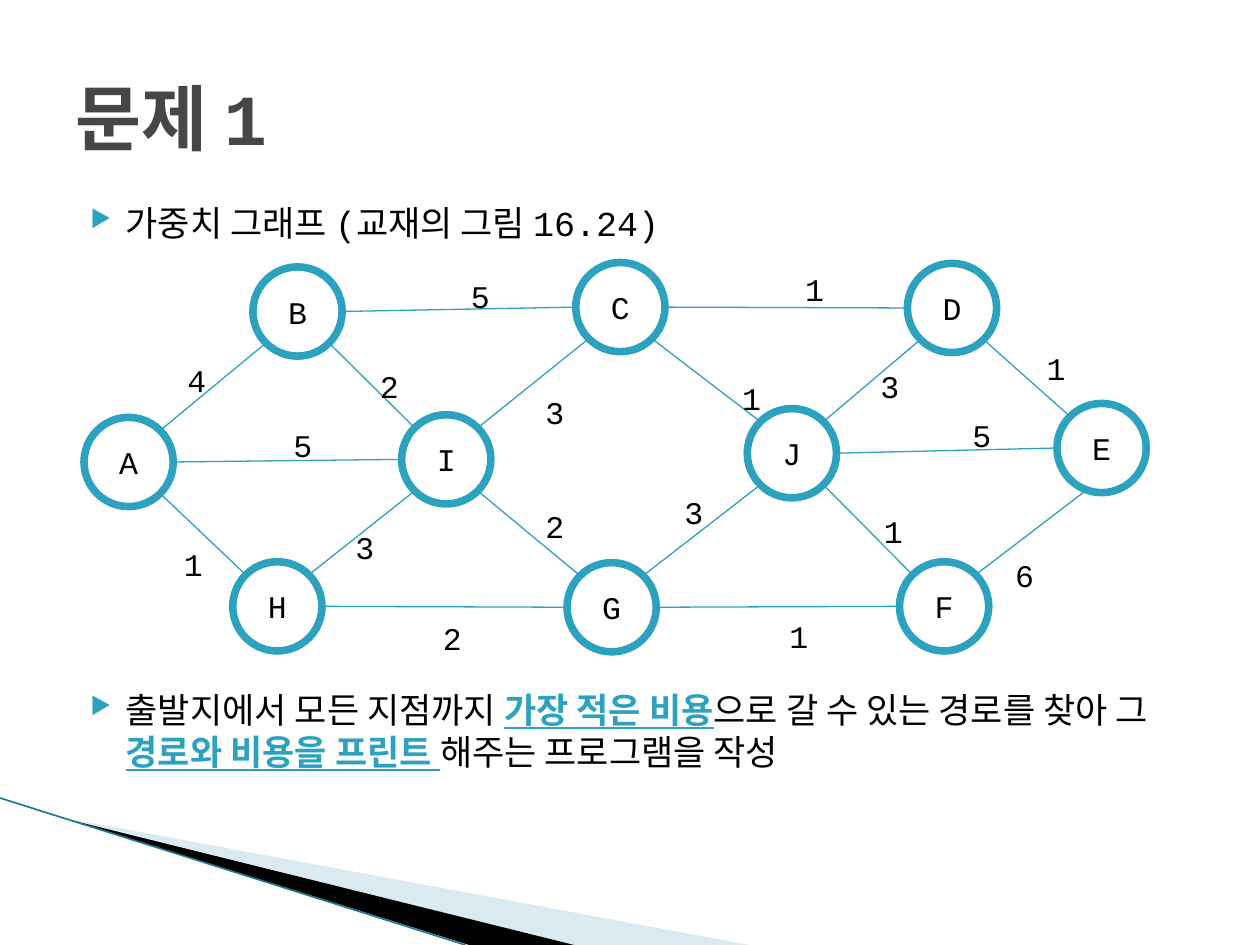
from math import sqrt

from lxml import etree
from pptx import Presentation
from pptx.dml.color import RGBColor
from pptx.enum.shapes import MSO_CONNECTOR, MSO_SHAPE
from pptx.enum.text import MSO_ANCHOR, PP_ALIGN
from pptx.oxml.ns import qn
from pptx.util import Pt

STRAIGHT, ELLIPSE = MSO_CONNECTOR.STRAIGHT, MSO_SHAPE.OVAL
MIDDLE, CENTER = MSO_ANCHOR.MIDDLE, PP_ALIGN.CENTER
FONT = "Courier New"
COLORS = {"accent": "2DA2BF", "text": "000000", "title": "464646",
          "paper": "FFFFFF", "pale": "A0CBDC", "edge": "1F7A90"}

# Graph geometry, relative to the graph box
NODE_SIZE = 51
NODES = {"B": (96.5, 2.5), "C": (281, 0), "D": (470.5, 0.5),
         "A": (0, 88.5), "I": (181.5, 87), "J": (379, 83.5), "E": (556, 80.5),
         "H": (85, 171), "G": (276, 171.5), "F": (466, 171)}
# Ends, weight, left and top of the weight label
EDGES = [("AB", 4, 52, 53), ("BC", 5, 214, 5), ("CD", 1, 405, 0.5),
         ("DE", 1, 543, 46), ("EF", 6, 525, 164), ("FG", 1, 396, 199),
         ("GH", 2, 198, 200), ("HA", 1, 50, 158), ("AI", 5, 112.5, 90),
         ("IB", 2, 162, 56), ("HI", 3, 148, 148), ("CI", 3, 256.5, 71),
         ("GI", 2, 256.5, 136), ("CJ", 1, 369, 63), ("JD", 3, 448, 56),
         ("JE", 5, 500.5, 84), ("JF", 1, 450, 139), ("JG", 3, 336, 128)]
START_SHIFT = {"EF": 7.5}  # this edge leaves its node lower down

# Body paragraphs: space before, then (text, emphasised) runs
BODY = [(4, [("가중치 그래프 (교재의 그림 16.24)", False)]),
        (254, [("출발지에서 모든 지점까지 ", False), ("가장 적은 비용", True),
               ("으로 갈 수 있는 경로를 찾아 그 ", False),
               ("경로와 비용을 프린트 ", True),
               ("해주는 프로그램을 작성", False)])]


def rgb(name):
    return RGBColor.from_string(COLORS[name])


def style(run, size, color="text", bold=False):
    run.font.name, run.font.size, run.font.bold = FONT, Pt(size), bold
    run.font.color.rgb = rgb(color)


def add_line(slide, start, end, color, width):
    line = slide.shapes.add_connector(STRAIGHT, *map(Pt, (*start, *end)))
    line.line.color.rgb = rgb(color)
    line.line.width = Pt(width)
    etree.SubElement(line._element.spPr, qn("a:effectLst"))


def add_text_box(slide, left, top, width, height, wrap=True):
    box = slide.shapes.add_textbox(Pt(left), Pt(top), Pt(width), Pt(height))
    box.text_frame.word_wrap = wrap
    return box.text_frame


def add_wedge(slide, points, color, alpha=100):
    builder = slide.shapes.build_freeform(*points[0], scale=Pt(1))
    builder.add_line_segments(points[1:], close=True)
    wedge = builder.convert_to_shape()
    wedge.shadow.inherit = False
    wedge.line.fill.background()
    wedge.fill.solid()
    wedge.fill.fore_color.rgb = rgb(color)
    if alpha < 100:
        fill = wedge._element.spPr.find(qn("a:solidFill"))
        etree.SubElement(fill[0], qn("a:alpha"), val=str(alpha * 1000))


def draw_swoosh(slide, left, top):
    def at(*points):
        return [(left + x, top + y) for x, y in points]

    add_wedge(slide, at((39.5, 12.5), (428, 84), (328, 84)), "pale", 40)
    add_wedge(slide, at((38, 11.5), (328, 84), (268, 84)), "text")
    add_line(slide, *at((0, 0), (266, 84)), "edge", 0.95)


def draw_title(slide, left, top, width, height):
    frame = add_text_box(slide, left, top, width, height)
    frame.vertical_anchor = MIDDLE
    frame.text = "문제 1"
    style(frame.paragraphs[0].runs[0], 41, "title", True)


def add_bullet(paragraph):
    properties = paragraph._p.get_or_add_pPr()
    properties.set("marL", str(Pt(28.8)))
    properties.set("indent", str(Pt(-20.16)))
    color = etree.SubElement(properties, qn("a:buClr"))
    etree.SubElement(color, qn("a:srgbClr"), val=COLORS["accent"])
    etree.SubElement(properties, qn("a:buSzPct"), val="68000")
    etree.SubElement(properties, qn("a:buChar"), char="▶")


def draw_body(slide, left, top, width, height):
    frame = add_text_box(slide, left, top, width, height)
    for index, (space, pieces) in enumerate(BODY):
        paragraph = frame.add_paragraph() if index else frame.paragraphs[0]
        paragraph.space_before = Pt(space)
        add_bullet(paragraph)
        for text, emphasised in pieces:
            run = paragraph.add_run()
            run.text = text
            style(run, 20, "accent" if emphasised else "text", emphasised)
            run.font.underline = emphasised


def edge_ends(start, end):
    """Join nodes at the side if level, otherwise at the diagonal."""
    radius = NODE_SIZE / 2
    dx, dy = (b - a for a, b in zip(NODES[start], NODES[end]))
    level = abs(dy) < abs(dx) / 5
    reach = radius if level else radius / sqrt(2)
    step_x = reach if dx > 0 else -reach
    step_y = 0 if level else (reach if dy > 0 else -reach)
    return [(NODES[node][0] + radius + sign * step_x,
             NODES[node][1] + radius + sign * step_y)
            for node, sign in ((start, 1), (end, -1))]


def draw_graph(slide, left, top):
    # Nodes
    for name, (x, y) in NODES.items():
        node = slide.shapes.add_shape(ELLIPSE, Pt(left + x), Pt(top + y),
                                      Pt(NODE_SIZE), Pt(NODE_SIZE))
        node.shadow.inherit = False
        node.fill.solid()
        node.fill.fore_color.rgb = rgb("paper")
        node.line.color.rgb = rgb("accent")
        node.line.width = Pt(4.33)
        frame = node.text_frame
        frame.text = name
        frame.vertical_anchor = MIDDLE
        frame.paragraphs[0].alignment = CENTER
        style(frame.paragraphs[0].runs[0], 18)
    # Edges
    for ends, *_ in EDGES:
        (x1, y1), (x2, y2) = edge_ends(*ends)
        shift = START_SHIFT.get(ends, 0)
        add_line(slide, (left + x1 + shift, top + y1 + shift),
                 (left + x2, top + y2), "accent", 0.75)
    # Weights
    for _, weight, x, y in EDGES:
        frame = add_text_box(slide, left + x, top + y, 26, 29, wrap=False)
        frame.text = str(weight)
        style(frame.paragraphs[0].runs[0], 18)


presentation = Presentation()
presentation.slide_width, presentation.slide_height = Pt(720), Pt(540)
slide = presentation.slides.add_slide(presentation.slide_layouts[6])
draw_swoosh(slide, 0, 456)
draw_body(slide, 36, 111.6, 681, 356.4)
draw_title(slide, 36, 21.6, 648, 90)
draw_graph(slide, 48, 150)
presentation.save("out.pptx")
